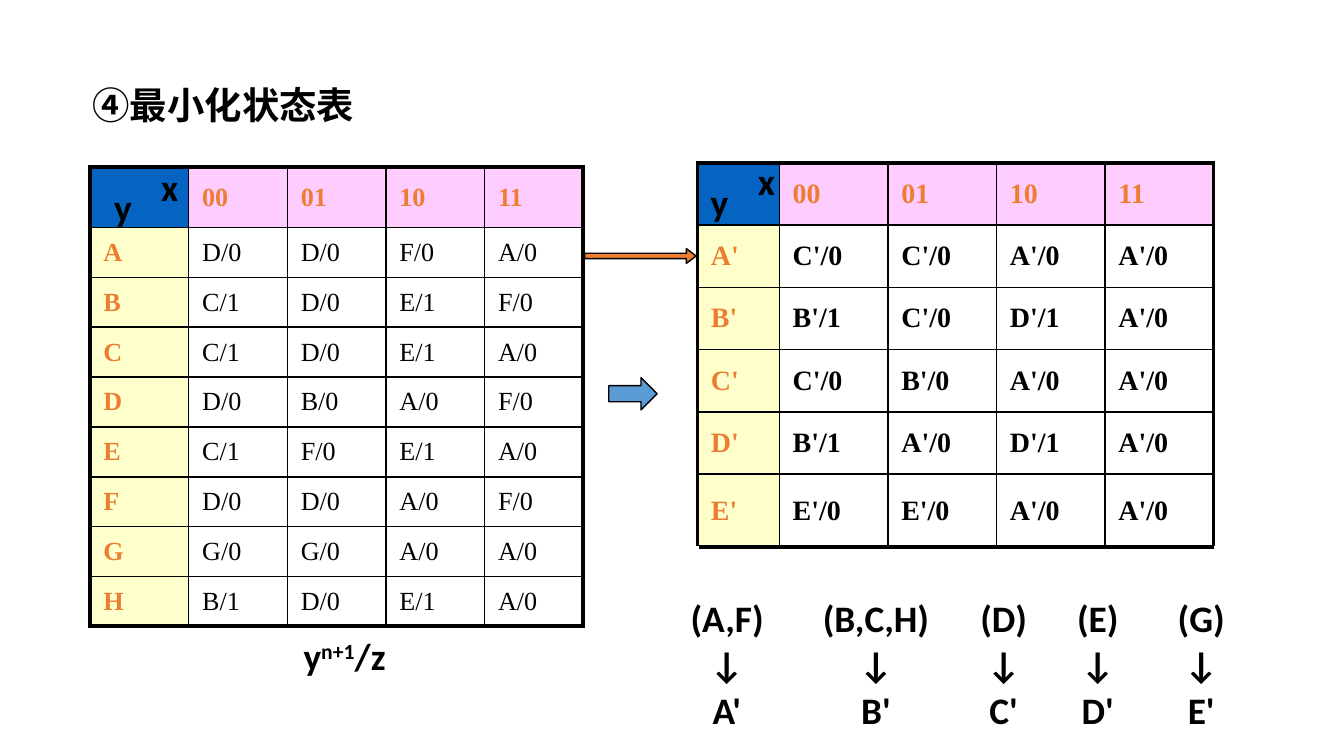
import pptx
import pptx.dml.color
import pptx.enum.shapes
import pptx.enum.text
import pptx.oxml
import pptx.oxml.ns
import pptx.util

RGB = pptx.dml.color.RGBColor
BLACK = RGB(0x00, 0x00, 0x00)
WHITE = RGB(0xFF, 0xFF, 0xFF)
ORANGE = RGB(0xED, 0x7D, 0x31)
SKY = RGB(0x5B, 0x9B, 0xD5)
CORNER = RGB(0x05, 0x63, 0xC1)
PINK = RGB(0xFF, 0xCC, 0xFF)
CREAM = RGB(0xFF, 0xFF, 0xCC)

WIDTH = pptx.util.Inches(10)
HEIGHT = pptx.util.Emu(WIDTH * 9 // 16)
THIN, THICK = 1, 2.25

STATES = """00 01 10 11
A D/0 D/0 F/0 A/0
B C/1 D/0 E/1 F/0
C C/1 D/0 E/1 A/0
D D/0 B/0 A/0 F/0
E C/1 F/0 E/1 A/0
F D/0 D/0 A/0 F/0
G G/0 G/0 A/0 A/0
H B/1 D/0 E/1 A/0"""

MINIMAL_STATES = """00 01 10 11
A' C'/0 C'/0 A'/0 A'/0
B' B'/1 C'/0 D'/1 A'/0
C' C'/0 B'/0 A'/0 A'/0
D' B'/1 A'/0 D'/1 A'/0
E' E'/0 E'/0 A'/0 A'/0"""

MERGES = [("(A,F)", "A'"), ("(B,C,H)", "B'"), ("(D)", "C'"),
          ("(E)", "D'"), ("(G)", "E'")]
MERGE_STOPS = [0.27, 1.38, 2.33, 3.03, 3.8]


def area(x, y, w, h):
    """Turn percentages of the slide into lengths."""
    return [pptx.util.Emu(round(share * side / 100))
            for share, side in zip((x, y, w, h), (WIDTH, HEIGHT) * 2)]


def style(font, name, size, color=BLACK, bold=True):
    font.name = name
    font.size = pptx.util.Pt(size)
    font.bold = bold
    font.color.rgb = color


def add_label(s, place, lines, font="Calibri"):
    """Add a text box; each line is a list of run texts."""
    tf = s.shapes.add_textbox(*area(*place)).text_frame
    tf.word_wrap = True
    for i, texts in enumerate(lines):
        p = tf.add_paragraph() if i else tf.paragraphs[0]
        if i:
            p.space_before = pptx.util.Pt(10)
        for text in texts:
            r = p.add_run()
            r.text = text
            style(r.font, font, 20)
    return tf


def add_title(s, place, text):
    font = "Noto Sans CJK JP"
    p = add_label(s, place, [[text]], font).paragraphs[0]
    p.line_spacing = 0.9
    p.runs[0].font._element.append(pptx.oxml.parse_xml(
        f'<a:ea {pptx.oxml.ns.nsdecls("a")} typeface="{font}"/>'))


def add_merges(s, place):
    """List the merged states above their new names, centred on tab stops."""
    olds, news = zip(*MERGES)
    rows = [olds, ["↓"] * len(MERGES), news]
    tf = add_label(s, place, [["\t" + "\t".join(row)] for row in rows])
    stops = "".join(f'<a:tab pos="{pptx.util.Inches(stop)}" algn="ctr"/>'
                    for stop in MERGE_STOPS)
    for p in tf.paragraphs:
        p.line_spacing = 0.6
        p._p.get_or_add_pPr().append(pptx.oxml.parse_xml(
            f'<a:tabLst {pptx.oxml.ns.nsdecls("a")}>{stops}</a:tabLst>'))


def add_borders(cell, widths):
    tcPr = cell._tc.get_or_add_tcPr()
    for side in "LRTB":
        if widths[side]:
            tcPr.append(pptx.oxml.parse_xml(
                f'<a:ln{side} {pptx.oxml.ns.nsdecls("a")} '
                f'w="{pptx.util.Pt(widths[side])}"><a:solidFill>'
                f'<a:srgbClr val="{BLACK}"/></a:solidFill></a:ln{side}>'))


def fill_cell(cell, text, size, header, bold):
    cell.vertical_anchor = pptx.enum.text.MSO_ANCHOR.MIDDLE
    cell.margin_left = cell.margin_right = pptx.util.Inches(0.1)
    cell.margin_top = cell.margin_bottom = pptx.util.Inches(0.04)
    cell.text_frame.text = text
    for r in cell.text_frame.paragraphs[0].runs:
        style(r.font, "Times New Roman", size,
              ORANGE if header else BLACK, header or bold)


def add_state_table(s, place, source, col_parts, row_parts, size, bold, bottom):
    """Add a state table whose columns and rows share its size by parts."""
    rows = [line.split() for line in source.splitlines()]
    rows[0].insert(0, "")
    last_row, last_col = len(rows) - 1, len(rows[0]) - 1
    x, y, w, h = area(*place)
    table = s.shapes.add_table(len(rows), len(rows[0]), x, y, w, h).table
    table.first_row = table.horz_banding = False
    for col, part in zip(table.columns, col_parts):
        col.width = round(w * part / sum(col_parts))
    for row, part in zip(table.rows, row_parts):
        row.height = round(h * part / sum(row_parts))
    for i, row in enumerate(rows):
        for j, text in enumerate(row):
            cell = table.cell(i, j)
            add_borders(cell, {"L": THIN if j else THICK,
                               "R": THICK if j == last_col else THIN,
                               "T": THIN if i else THICK,
                               "B": bottom if i == last_row else THIN})
            cell.fill.solid()
            cell.fill.fore_color.rgb = (
                (WHITE if j else CREAM) if i else (PINK if j else CORNER))
            if text:
                fill_cell(cell, text, size, i == 0 or j == 0, bold)


def add_arrow(s, place, color, adjustments):
    sp = s.shapes.add_shape(pptx.enum.shapes.MSO_SHAPE.RIGHT_ARROW, *area(*place))
    sp.shadow.inherit = False
    sp.fill.solid()
    sp.fill.fore_color.rgb = color
    sp.line.color.rgb = BLACK
    sp.line.width = pptx.util.Pt(0.75)
    for i, value in enumerate(adjustments):
        sp.adjustments[i] = value


def add_rule(s, x, y, w):
    left, top, width, _ = area(x, y, w, 0)
    line = s.shapes.add_connector(pptx.enum.shapes.MSO_CONNECTOR.STRAIGHT,
                                  left, top, left + width, top)
    line.line.color.rgb = BLACK
    line.line.width = pptx.util.Pt(THICK)
    line._element.spPr.append(pptx.oxml.parse_xml(
        f'<a:effectLst {pptx.oxml.ns.nsdecls("a")}/>'))


def main():
    prs = pptx.Presentation()
    prs.slide_width, prs.slide_height = WIDTH, HEIGHT
    s = prs.slides.add_slide(prs.slide_layouts[6])

    add_title(s, (5.9, 10.67, 35.8, 8), "④最小化状态表")

    add_state_table(s, (51.9, 21.55, 38.4, 50.84), MINIMAL_STATES,
                    [61] + [81] * 4, [46] * 5 + [54], 15, True, None)
    add_label(s, (55.4, 20.09, 3.4, 7.82), [["x"]])
    add_label(s, (51.9, 22.76, 4.6, 7.82), [["y"]])
    add_merges(s, (50.4, 80, 46, 19.02))
    add_rule(s, 52, 72.36, 38.3)

    add_state_table(s, (6.7, 22.08, 36.7, 60.8), STATES,
                    [1] * 5, [45] + [37] * 8, 14, False, THICK)
    add_label(s, (11, 20.8, 3.3, 7.82), [["x"]])
    add_label(s, (7.5, 23.47, 4.5, 7.82), [["y"]])
    tf = add_label(s, (21.6, 82.9, 11.8, 7.64), [["y", "n+1", "/z"]])
    tf.paragraphs[0].runs[1].font._element.set("baseline", "30000")

    add_arrow(s, (45.3, 49.96, 3.6, 4.27), SKY, (0.5, 0.5))
    add_arrow(s, (43.5, 32.89, 8.3, 1.96), ORANGE, (0.37, 0.66))

    prs.save("out.pptx")


if __name__ == "__main__":
    main()
